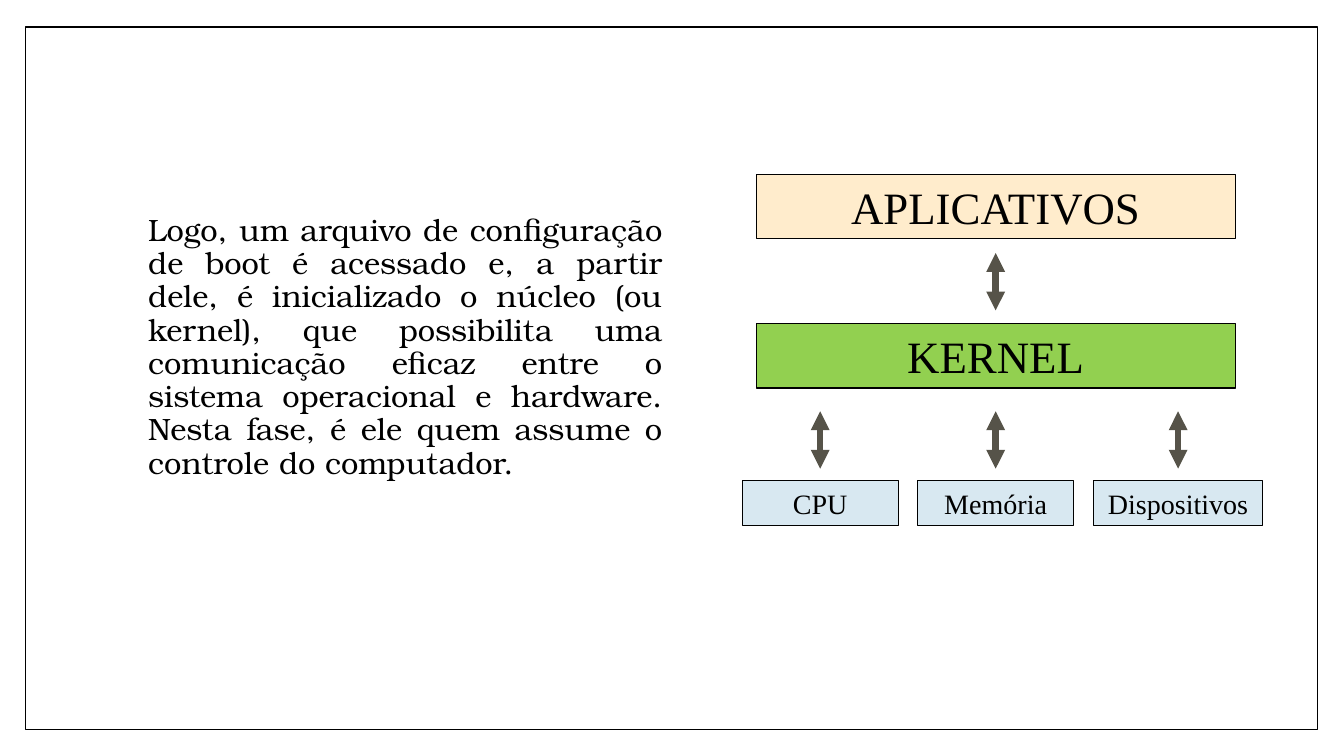
from dataclasses import dataclass

from lxml import etree
from pptx import Presentation
from pptx.dml.color import RGBColor
from pptx.enum.shapes import MSO_CONNECTOR, MSO_SHAPE
from pptx.enum.text import MSO_ANCHOR, MSO_AUTO_SIZE, PP_ALIGN
from pptx.oxml.ns import qn
from pptx.util import Inches, Pt

BLACK, WHITE, ARROW_GREY = "000000", "FFFFFF", "565349"
PALE_BLUE = "D8E8F1"
BODY_FONT, BOX_FONT = "TeX Gyre Bonum", "Times New Roman"
ARROW_LENGTH = 0.57

BODY_TEXT = (
    "Logo, um arquivo de configuração de boot é acessado e, a partir dele, "
    "é inicializado o núcleo (ou kernel), que possibilita uma comunicação "
    "eficaz entre o sistema operacional e hardware. Nesta fase, é ele quem "
    "assume o controle do computador."
)


@dataclass(frozen=True)
class Box:
    """A labelled rectangle; lengths in inches, text size in points."""

    left: float
    top: float
    width: float
    height: float
    fill: str
    label: str = ""
    size: int = 20
    border: float = 0.75

    @property
    def center(self) -> float:
        """Horizontal middle of the box."""
        return self.left + self.width / 2


FRAME = Box(0.25, 0.27, 12.82, 6.97, WHITE, border=1)
APPLICATIONS = Box(7.5, 1.73, 4.75, 0.64, "FFECCC", "APLICATIVOS", 32)
KERNEL = Box(7.5, 3.21, 4.75, 0.64, "92D050", "KERNEL", 32)
HARDWARE = [
    Box(left, 4.77, width, 0.44, PALE_BLUE, label)
    for left, width, label in (
        (7.36, 1.55, "CPU"),
        (9.1, 1.55, "Memória"),
        (10.85, 1.67, "Dispositivos"),
    )
]


def color(value: str) -> RGBColor:
    """Turn a hex string into a colour."""
    return RGBColor.from_string(value)


def write(paragraph, text: str, font: str, size: int) -> None:
    """Add black text to a paragraph."""
    run = paragraph.add_run()
    run.text = text
    run.font.name = font
    run.font.size = Pt(size)
    run.font.color.rgb = color(BLACK)


def add_box(slide, box: Box):
    """Draw a rectangle with its centred label, if any."""
    shape = slide.shapes.add_shape(
        MSO_SHAPE.RECTANGLE,
        *(Inches(v) for v in (box.left, box.top, box.width, box.height)),
    )
    shape.shadow.inherit = False
    shape.fill.solid()
    shape.fill.fore_color.rgb = color(box.fill)
    shape.line.color.rgb = color(BLACK)
    shape.line.width = Pt(box.border)
    if box.label:
        frame = shape.text_frame
        frame.word_wrap = True
        frame.vertical_anchor = MSO_ANCHOR.MIDDLE
        frame.paragraphs[0].alignment = PP_ALIGN.CENTER
        write(frame.paragraphs[0], box.label, BOX_FONT, box.size)
    return shape


def add_double_arrow(slide, x: float, top: float) -> None:
    """Draw a vertical arrow with a head at both ends."""
    arrow = slide.shapes.add_connector(
        MSO_CONNECTOR.STRAIGHT,
        Inches(x), Inches(top + ARROW_LENGTH), Inches(x), Inches(top),
    )
    arrow.line.color.rgb = color(ARROW_GREY)
    arrow.line.width = Pt(4.5)
    line = arrow.line._get_or_add_ln()
    for end in ("a:headEnd", "a:tailEnd"):
        etree.SubElement(line, qn(end), type="triangle")
    etree.SubElement(arrow._element.spPr, qn("a:effectLst"))


def fill_body(body) -> None:
    """Place the body placeholder and write its justified paragraph."""
    body.left, body.top = Inches(1.32), Inches(2.08)
    body.width, body.height = Inches(5.35), Inches(3.4)
    frame = body.text_frame
    frame.word_wrap = True
    frame.auto_size = MSO_AUTO_SIZE.NONE
    frame.vertical_anchor = MSO_ANCHOR.TOP
    paragraph = frame.paragraphs[0]
    paragraph.alignment = PP_ALIGN.JUSTIFY
    paragraph.line_spacing = 0.9
    paragraph.space_before = Pt(14)
    properties = paragraph._p.get_or_add_pPr()
    properties.set("marL", str(Inches(0.05)))
    properties.set("indent", "0")
    etree.SubElement(properties, qn("a:buNone"))
    write(paragraph, BODY_TEXT, BODY_FONT, 22)


def main() -> None:
    """Build the slide and save it."""
    prs = Presentation()
    prs.slide_width, prs.slide_height = Inches(13.33), Inches(7.5)
    slide = prs.slides.add_slide(prs.slide_layouts[1])
    title = slide.shapes.title._element
    title.getparent().remove(title)

    frame = add_box(slide, FRAME)
    body = slide.placeholders[1]
    body._element.addprevious(frame._element)
    fill_body(body)

    for box in (APPLICATIONS, KERNEL, *HARDWARE):
        add_box(slide, box)
    add_double_arrow(slide, KERNEL.center, 2.51)
    for box in HARDWARE:
        add_double_arrow(slide, box.center, 4.08)

    prs.save("out.pptx")


main()
